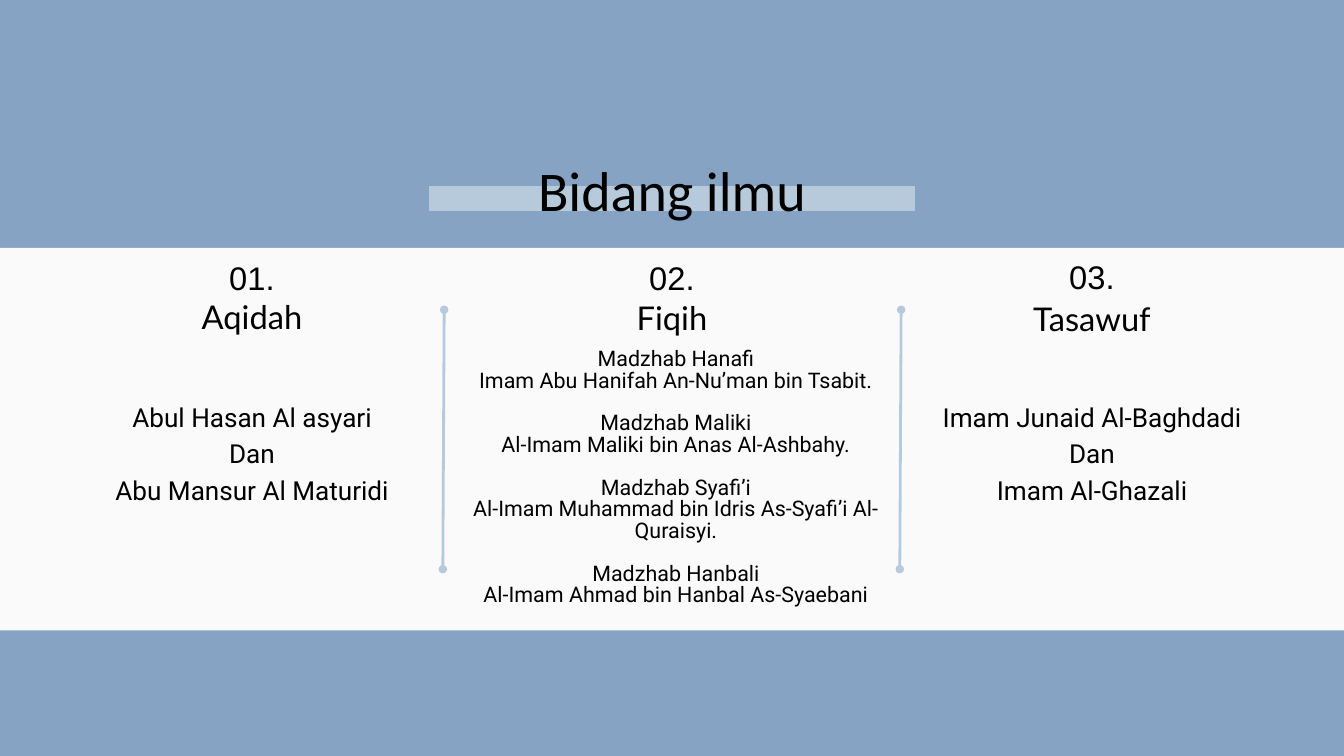
import dataclasses
import typing

import lxml.etree
import pptx
import pptx.dml.color
import pptx.enum.shapes
import pptx.enum.text
import pptx.oxml.ns
import pptx.util

WIDTH, HEIGHT = 20, 11.25
COLUMN_WIDTH = 6.25
FIRST_CENTER = 3.75
BLUE, PALE_BLUE, OFF_WHITE, BLACK = "87A3C4", "B7CADB", "FAFAFA", "000000"
COMPARISON_LAYOUT = 4


@dataclasses.dataclass(frozen=True)
class Style:
    font: str
    size: float
    leading: float


TITLE = Style("Calibri", 60, 84)
NUMBER = Style("Arial", 35, 49)
HEADING = Style("Lato", 35, 49)
NAMES = Style("Roboto", 28, 39.2)
SCHOOLS = Style("Roboto", 23, 23)


@dataclasses.dataclass(frozen=True)
class Field:
    """A field of study; each group of lines is set off by one line of space."""
    heading: str
    groups: tuple[tuple[str, ...], ...]
    style: Style
    number_top: float
    heading_top: float
    body_top: float
    body_width: float
    body_height: float
    body_shift: float = 0


FIELDS = (
    Field("Aqidah", (("Abul Hasan Al asyari", "Dan", "Abu Mansur Al Maturidi"),),
          NAMES, 3.74, 4.32, 5.89, 5.26, 1.61),
    Field("Fiqih", (
        ("Madzhab Hanafi", "Imam Abu Hanifah An-Nu’man bin Tsabit."),
        ("Madzhab Maliki", "Al-Imam Maliki bin Anas Al-Ashbahy."),
        ("Madzhab Syafi’i", "Al-Imam Muhammad bin Idris As-Syafi’i Al-Quraisyi."),
        ("Madzhab Hanbali", "Al-Imam Ahmad bin Hanbal As-Syaebani"),
    ), SCHOOLS, 3.74, 4.33, 5.2, 6.62, 3.77, 0.06),
    Field("Tasawuf", (("Imam Junaid Al-Baghdadi", "Dan", "Imam Al-Ghazali"),),
          NAMES, 3.73, 4.35, 5.89, 5.26, 1.61),
)


def color(value: str) -> pptx.dml.color.RGBColor:
    return pptx.dml.color.RGBColor.from_string(value)


def place(box: typing.Any, center: float, top: float, width: float, height: float) -> None:
    box.left, box.top, box.width, box.height = (
        pptx.util.Inches(value) for value in (center - width / 2, top, width, height))


def write(box: typing.Any, groups: tuple[tuple[str, ...], ...], style: Style) -> None:
    frame = box.text_frame
    frame.text = "\n".join(line for group in groups for line in group)
    frame.word_wrap = True
    frame.auto_size = pptx.enum.text.MSO_AUTO_SIZE.NONE
    frame.vertical_anchor = pptx.enum.text.MSO_ANCHOR.TOP
    frame.margin_left = frame.margin_right = frame.margin_top = frame.margin_bottom = 0
    starts = [index == 0 for group in groups for index in range(len(group))]
    for index, (para, starts_group) in enumerate(zip(frame.paragraphs, starts)):
        para.alignment = pptx.enum.text.PP_ALIGN.CENTER
        para.line_spacing = pptx.util.Pt(style.leading)
        para.space_before = pptx.util.Pt(style.leading if starts_group and index else 0)
        properties = para._p.get_or_add_pPr()
        properties.set("marL", "0")
        properties.set("indent", "0")
        lxml.etree.SubElement(properties, pptx.oxml.ns.qn("a:buNone"))
        for span in para.runs:
            span.font.name = style.font
            span.font.size = pptx.util.Pt(style.size)
            span.font.bold = False
            span.font.color.rgb = color(BLACK)


def add_label(page: typing.Any, text: str, style: Style, center: float,
              top: float, width: float) -> None:
    box = page.shapes.add_textbox(0, 0, 0, 0)
    place(box, center, top, width, 0.65)
    write(box, ((text,),), style)


def add_band(page: typing.Any, top: float, width: float, height: float, fill: str) -> None:
    """Add a centred bar behind everything else."""
    band = page.shapes.add_shape(pptx.enum.shapes.MSO_SHAPE.RECTANGLE, 0, 0, 0, 0)
    place(band, WIDTH / 2, top, width, height)
    band.shadow.inherit = False
    band.fill.solid()
    band.fill.fore_color.rgb = color(fill)
    band.line.fill.background()
    page.shapes.element.insert(2, band.element)


def add_divider(page: typing.Any, center: float) -> None:
    ends = (center - 0.01, 8.47, center + 0.01, 4.61)
    divider = page.shapes.add_connector(
        pptx.enum.shapes.MSO_CONNECTOR.STRAIGHT, *map(pptx.util.Inches, ends))
    divider.line.color.rgb = color(PALE_BLUE)
    divider.line.width = pptx.util.Pt(3)
    outline = divider.line._get_or_add_ln()
    for tag in ("a:headEnd", "a:tailEnd"):
        lxml.etree.SubElement(outline, pptx.oxml.ns.qn(tag), type="oval")
    lxml.etree.SubElement(divider.element.spPr, pptx.oxml.ns.qn("a:effectLst"))


def main() -> None:
    deck = pptx.Presentation()
    deck.slide_width = pptx.util.Inches(WIDTH)
    deck.slide_height = pptx.util.Inches(HEIGHT)
    page = deck.slides.add_slide(deck.slide_layouts[COMPARISON_LAYOUT])
    page.background.fill.solid()
    page.background.fill.fore_color.rgb = color(BLUE)

    add_band(page, 3.69, WIDTH, 5.69, OFF_WHITE)
    add_band(page, 2.77, 7.23, 0.37, PALE_BLUE)
    for center in (6.6, WIDTH - 6.6):
        add_divider(page, center)

    title = page.shapes.title
    place(title, WIDTH / 2, 2.15, 8.16, 1.11)
    write(title, (("Bidang ilmu",),), TITLE)

    bodies = [box for box in page.placeholders if box.placeholder_format.idx in range(1, 5)]
    for index, (field, body) in enumerate(zip(FIELDS, bodies)):
        center = FIRST_CENTER + index * COLUMN_WIDTH
        add_label(page, f"{index + 1:02}.", NUMBER, center, field.number_top, 1.44)
        add_label(page, field.heading, HEADING, center, field.heading_top, 3.66)
        place(body, center + field.body_shift, field.body_top,
              field.body_width, field.body_height)
        write(body, field.groups, field.style)
    for spare in bodies[len(FIELDS):]:
        spare.element.getparent().remove(spare.element)

    deck.save("out.pptx")


if __name__ == "__main__":
    main()
